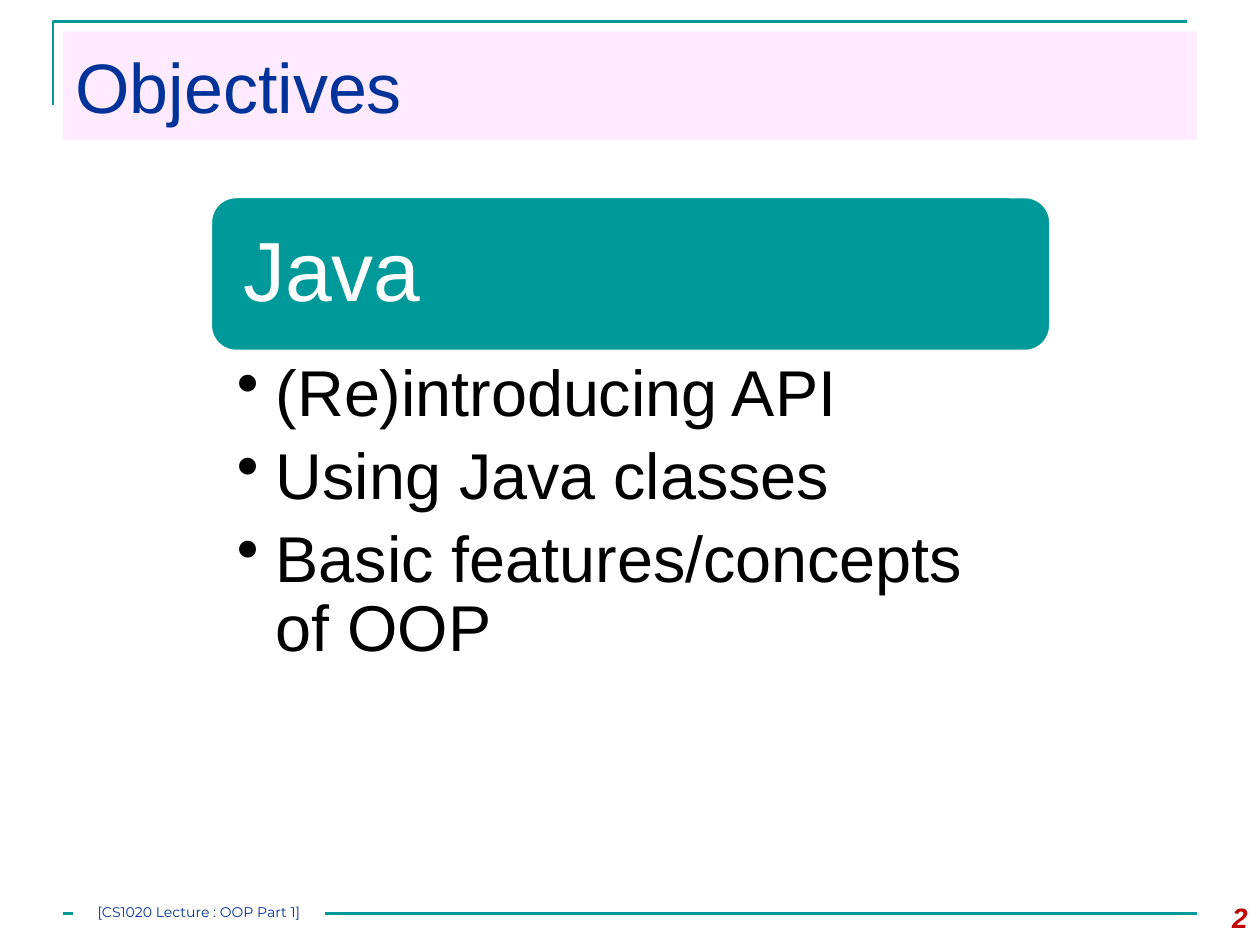
from lxml.etree import SubElement
from pptx import Presentation
from pptx.dml.color import RGBColor
from pptx.enum.shapes import MSO_CONNECTOR as Line, MSO_SHAPE as Kind
from pptx.enum.text import MSO_ANCHOR as Anchor, PP_ALIGN as Align
from pptx.oxml.ns import qn
from pptx.util import Inches, Pt

TITLE = "Objectives"
TOPIC = "Java"
GOALS = ["(Re)introducing API", "Using Java classes", "Basic features/concepts of OOP"]
FOOTER = "[CS1020 Lecture : OOP Part 1]"
PAGE = "2"
COLORS = {"teal": "009999", "navy": "003399", "pink": "FFCCFF",
          "white": "FFFFFF", "black": "000000", "red": "C00000"}
INSETS = (0.1, 0.05, 0.1, 0.05)


def color(name):
    return RGBColor.from_string(COLORS[name])


def paint(shape, fill=None, line=None, width=1.5):
    shape.shadow.inherit = False
    if fill:
        shape.fill.solid()
        shape.fill.fore_color.rgb = color(fill)
    else:
        shape.fill.background()
    if line:
        shape.line.color.rgb = color(line)
        shape.line.width = Pt(width)
    else:
        shape.line.fill.background()


def add_box(shapes, box, fill=None, kind=Kind.RECTANGLE, line=None, width=1.5):
    shape = shapes.add_shape(kind, *map(Inches, box))
    paint(shape, fill, line, width)
    return shape


def add_text(shapes, box):
    return shapes.add_textbox(*map(Inches, box))


def write(shape, lines, size, ink, font="Arial", align=Align.LEFT,
          anchor=Anchor.TOP, insets=INSETS):
    frame = shape.text_frame
    frame.word_wrap = True
    frame.vertical_anchor = anchor
    (frame.margin_left, frame.margin_top,
     frame.margin_right, frame.margin_bottom) = map(Inches, insets)
    frame.text = "\n".join(lines)
    for para in frame.paragraphs:
        para.alignment = align
        para.font.size = Pt(size)
        para.font.name = font
        para.font.color.rgb = color(ink)
    return frame.paragraphs


def add_bullet(para, indent):
    props = para._p.get_or_add_pPr()
    props.set("marL", str(Inches(indent)))
    props.set("indent", str(-Inches(indent)))
    bullet = props.makeelement(qn("a:buChar"), {"char": "•"})
    props.find(qn("a:defRPr")).addprevious(bullet)


def main():
    deck = Presentation()
    deck.slide_width, deck.slide_height = Inches(10), Inches(7.5)
    slide = deck.slides.add_slide(deck.slide_layouts[6])
    shapes = slide.shapes

    path = shapes.build_freeform(Inches(0.42), Inches(0.83))
    path.add_line_segments([(Inches(0.42), Inches(0.17)),
                            (Inches(9.42), Inches(0.17))], close=False)
    paint(path.convert_to_shape(), line="teal")

    rule = shapes.add_connector(Line.STRAIGHT, *map(Inches, (0.5, 7.25, 9.5, 7.25)))
    rule.line.color.rgb = color("teal")
    rule.line.width = Pt(1.5)
    SubElement(rule._element.spPr, qn("a:effectLst"))

    title = add_box(shapes, (0.5, 0.25, 9, 0.86), "pink")
    tint = title._element.spPr.find(qn("a:solidFill"))[0]
    SubElement(tint, qn("a:alpha"), val="40000")
    write(title, [TITLE], 40, "navy", anchor=Anchor.MIDDLE)

    footer = add_box(shapes, (0.58, 7.17, 2, 0.17), "white")
    write(footer, [FOOTER], 8, "navy", "Montserrat", Align.CENTER, insets=(0, 0, 0, 0))

    number = add_text(shapes, (9.33, 7.1, 0.67, 0.4))
    for para in write(number, [PAGE], 16, "red", align=Align.RIGHT):
        para.font.bold = para.font.italic = True

    group = shapes.add_group_shape().shapes
    left, top, width, height = 1.67, 1.56, 6.67, 1.23
    pad = 0.06
    add_box(group, (left, top, width, height), "teal",
            Kind.ROUNDED_RECTANGLE, "white", 2)
    head = add_text(group, (left + pad, top + pad, width - 2 * pad, height - 2 * pad))
    for para in write(head, [TOPIC], 48, "white", anchor=Anchor.MIDDLE, insets=(0.2,) * 4):
        para.line_spacing = 0.9

    body = add_text(group, (left, top + height, width, 3.15))
    for para in write(body, GOALS, 37, "black", insets=(0.21, 0.07, 0.37, 0.07)):
        para.line_spacing = 0.9
        para.space_after = Pt(7.4)
        para.level = 1
        add_bullet(para, 0.31)

    deck.save("out.pptx")


if __name__ == "__main__":
    main()
